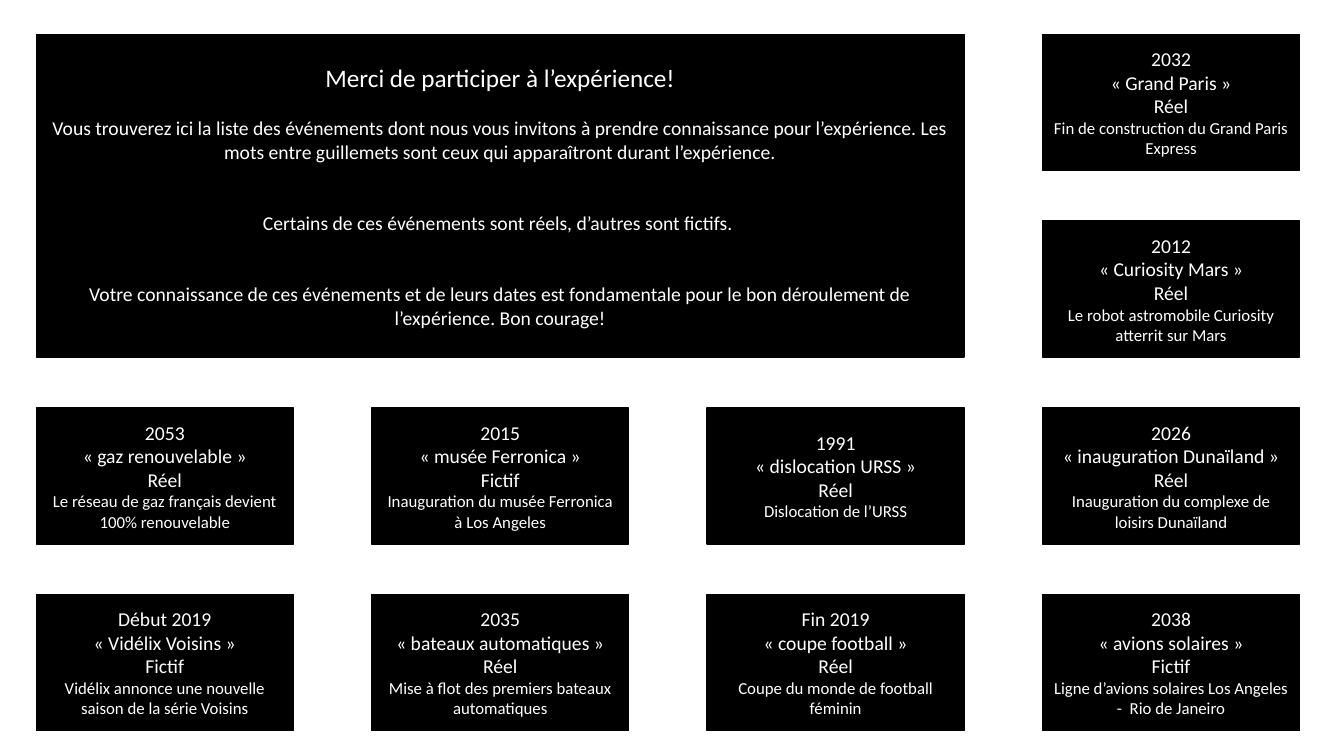
from dataclasses import dataclass

from pptx import Presentation
from pptx.dml.color import RGBColor
from pptx.enum.shapes import MSO_SHAPE as SHAPE
from pptx.enum.text import MSO_ANCHOR as ANCHOR, PP_ALIGN as ALIGN
from pptx.util import Inches, Pt


@dataclass(frozen=True)
class Theme:
    font: str = "Calibri"
    box: RGBColor = RGBColor(0, 0, 0)
    text: RGBColor = RGBColor(255, 255, 255)
    title: int = 18
    body: int = 14
    detail: int = 12
    border: int = 1


@dataclass(frozen=True)
class Grid:
    left: float = 0.36
    top: float = 0.34
    right: float = 12.89
    bottom: float = 7.25
    width: float = 2.55
    height: float = 1.35
    count: int = 4

    def x(self, col: int) -> float:
        return self.left + col * (self.right - self.left - self.width) / (self.count - 1)

    def y(self, row: int) -> float:
        return self.top + row * (self.bottom - self.top - self.height) / (self.count - 1)


@dataclass(frozen=True)
class Event:
    col: int
    row: int
    date: str
    label: str
    status: str
    detail: str


THEME = Theme()
GRID = Grid()
LINE = 17

EVENTS = [
    Event(3, 0, "2032", "Grand Paris", "Réel", "Fin de construction du Grand Paris Express"),
    Event(3, 1, "2012", "Curiosity Mars", "Réel", "Le robot astromobile Curiosity atterrit sur Mars"),
    Event(0, 2, "2053", "gaz renouvelable", "Réel", "Le réseau de gaz français devient 100% renouvelable"),
    Event(1, 2, "2015", "musée Ferronica", "Fictif", "Inauguration du musée Ferronica à Los Angeles"),
    Event(2, 2, "1991", "dislocation URSS", "Réel", "Dislocation de l’URSS"),
    Event(3, 2, "2026", "inauguration Dunaïland", "Réel", "Inauguration du complexe de loisirs Dunaïland"),
    Event(0, 3, "Début 2019", "Vidélix Voisins", "Fictif", "Vidélix annonce une nouvelle saison de la série Voisins"),
    Event(1, 3, "2035", "bateaux automatiques", "Réel", "Mise à flot des premiers bateaux automatiques"),
    Event(2, 3, "Fin 2019", "coupe football", "Réel", "Coupe du monde de football féminin"),
    Event(3, 3, "2038", "avions solaires", "Fictif", "Ligne d’avions solaires Los Angeles -  Rio de Janeiro"),
]


def add_box(s, col: int, row: int, cols: int = 1, rows: int = 1):
    left, top = GRID.x(col), GRID.y(row)
    width = GRID.x(col + cols - 1) + GRID.width - left
    height = GRID.y(row + rows - 1) + GRID.height - top
    sp = s.shapes.add_shape(SHAPE.RECTANGLE, Inches(left), Inches(top), Inches(width), Inches(height))
    sp.shadow.inherit = False
    sp.fill.solid()
    sp.fill.fore_color.rgb = THEME.box
    sp.line.color.rgb = THEME.box
    sp.line.width = Pt(THEME.border)
    tf = sp.text_frame
    tf.word_wrap = True
    tf.vertical_anchor = ANCHOR.MIDDLE
    return tf


def add_text(tf, text: str, *, size: int = THEME.body, before: int = 0) -> None:
    p = tf.paragraphs[0] if not tf.text else tf.add_paragraph()
    p.alignment = ALIGN.CENTER
    p.space_before = Pt(before)
    r = p.add_run()
    r.text = text
    r.font.name = THEME.font
    r.font.size = Pt(size)
    r.font.color.rgb = THEME.text


def add_event(s, event: Event) -> None:
    tf = add_box(s, event.col, event.row)
    for text in (event.date, f"«\u00a0{event.label}\u00a0»", event.status):
        add_text(tf, text)
    add_text(tf, event.detail, size=THEME.detail)


def add_intro(s) -> None:
    tf = add_box(s, 0, 0, cols=3, rows=2)
    add_text(tf, "Merci de participer à l’expérience!", size=THEME.title)
    add_text(
        tf,
        "Vous trouverez ici la liste des événements dont nous vous invitons à prendre connaissance "
        "pour l’expérience. Les mots entre guillemets sont ceux qui apparaîtront durant l’expérience.",
        before=LINE,
    )
    add_text(tf, "Certains de ces événements sont réels, d’autres sont fictifs. ", before=2 * LINE)
    add_text(
        tf,
        "Votre connaissance de ces événements et de leurs dates est fondamentale "
        "pour le bon déroulement de l’expérience. Bon courage!",
        before=2 * LINE,
    )


prs = Presentation()
prs.slide_width, prs.slide_height = Inches(13.33), Inches(7.5)
s = prs.slides.add_slide(prs.slide_layouts[6])
add_intro(s)
for event in EVENTS:
    add_event(s, event)
prs.save("out.pptx")
